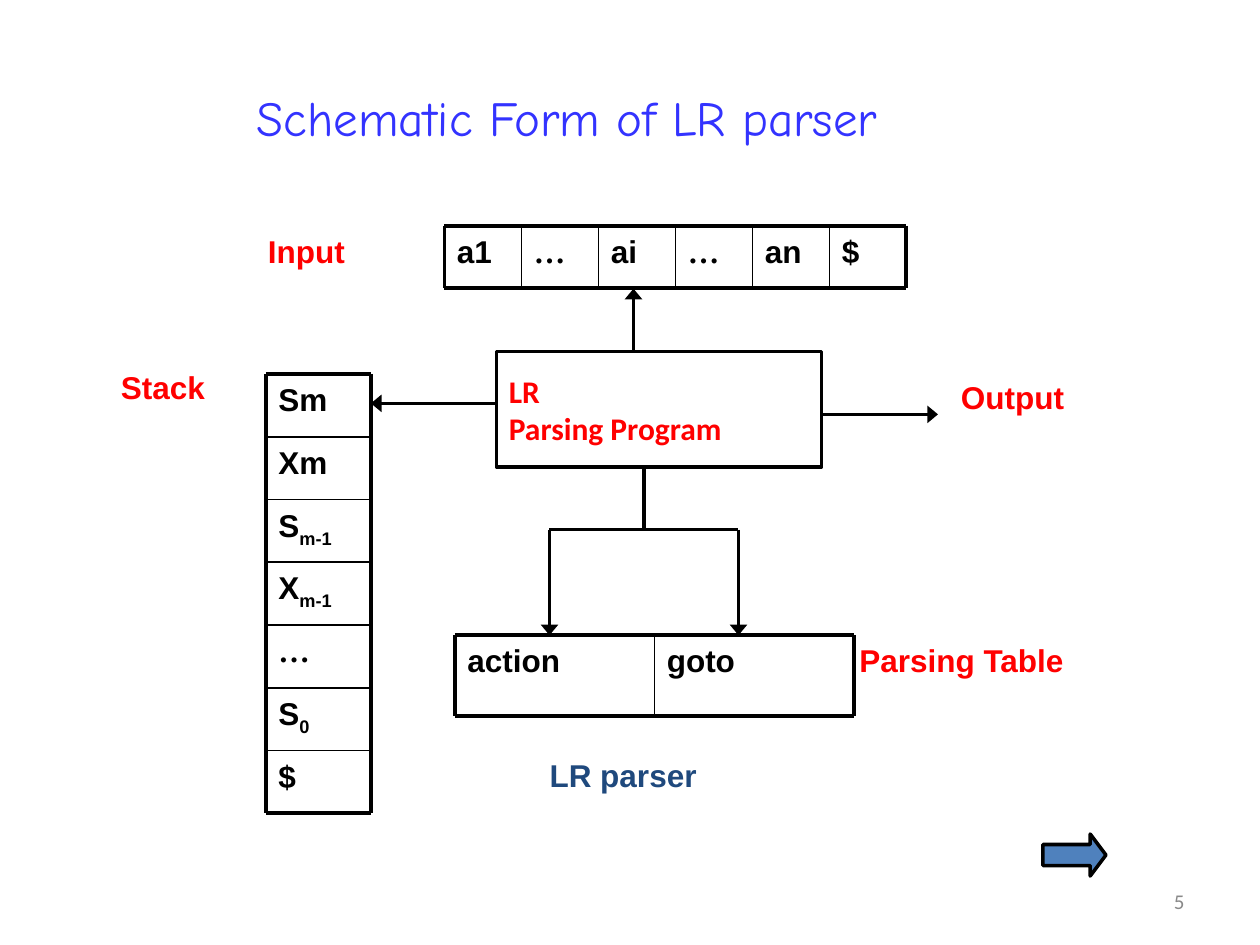
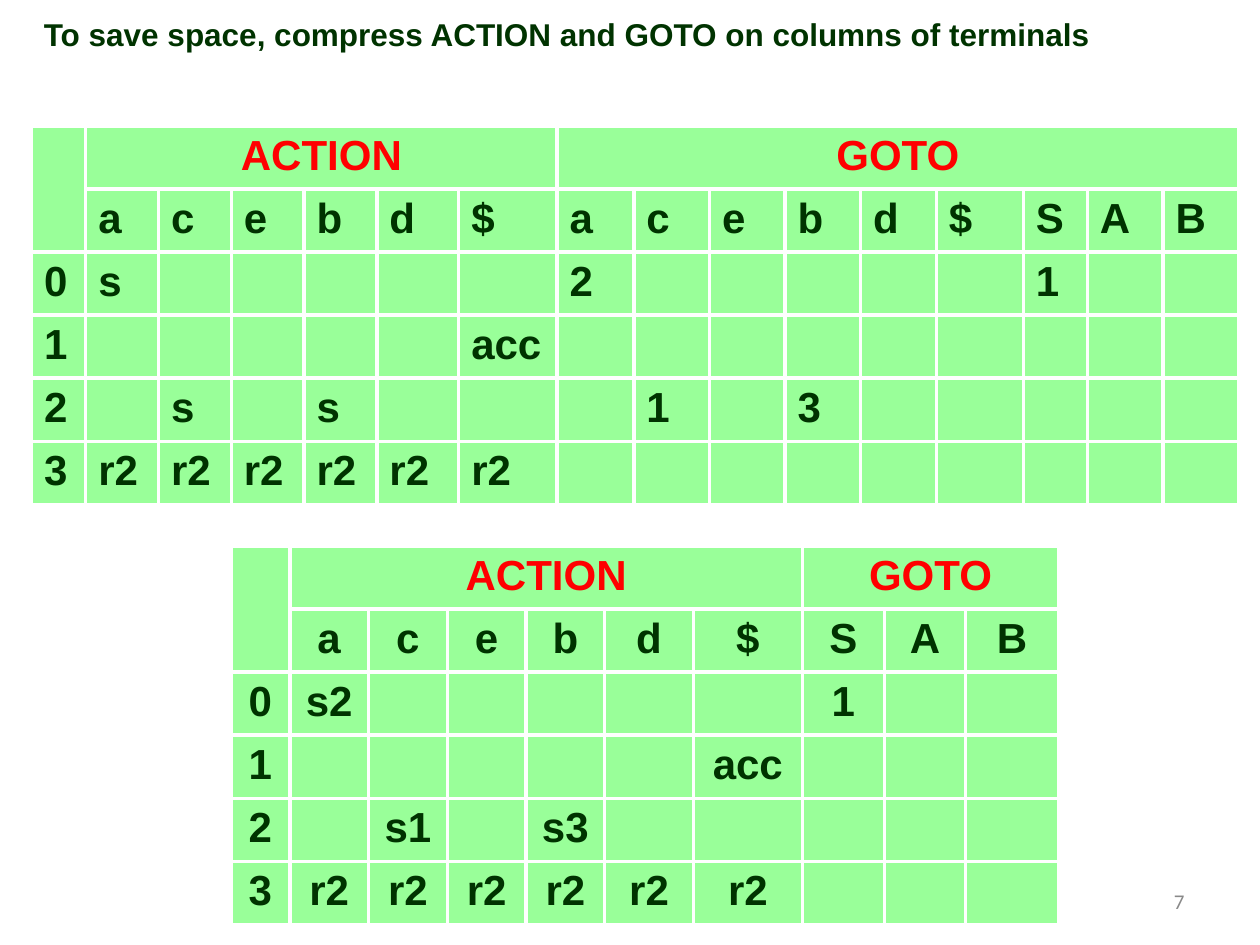
from dataclasses import dataclass

from lxml import etree
from pptx import Presentation
from pptx.dml.color import RGBColor
from pptx.enum.shapes import MSO_CONNECTOR, MSO_SHAPE
from pptx.enum.text import MSO_ANCHOR, PP_ALIGN
from pptx.oxml.ns import qn
from pptx.util import Pt

LEFT, CENTER, RIGHT = PP_ALIGN.LEFT, PP_ALIGN.CENTER, PP_ALIGN.RIGHT
TOP, MIDDLE = MSO_ANCHOR.TOP, MSO_ANCHOR.MIDDLE
STRAIGHT = MSO_CONNECTOR.STRAIGHT
RECTANGLE, RIGHT_ARROW = MSO_SHAPE.RECTANGLE, MSO_SHAPE.RIGHT_ARROW


@dataclass(frozen=True)
class Theme:
    black: str = "000000"
    red: str = "FF0000"
    title: str = "3333FF"
    caption: str = "1F497D"
    next_arrow: str = "4F81BD"
    number: str = "898989"
    table_text: str = "003300"
    table_fill: str = "99FF99"
    table_border: str = "FFFFFF"
    sans: str = "Arial"
    serif: str = "Times New Roman"
    body_font: str = "Calibri"
    title_font: str = "Comic Neue"
    title_size: float = 28
    table_size: float = 24
    text_size: float = 18
    number_size: float = 12
    thin: float = 1
    medium: float = 2
    thick: float = 2.25


THEME = Theme()
ROW_HEIGHT = 36

FULL_WIDTHS = [31] + [41.6] * 4 + [46.8, 56.2, 43.9] + [43.2] * 4 + [49.8, 36.6, 43.2, 43.2]
FULL_ROWS = [
    "- a c e b d $ a c e b d $ S A B",
    "0 s - - - - - 2 - - - - - 1 - -",
    "1 - - - - - acc - - - - - - - - -",
    "2 - s - s - - - 1 - 3 - - - - -",
    "3 r2 r2 r2 r2 r2 r2 - - - - - - - - -",
]
COMPACT_WIDTHS = [33.6, 45, 45, 45, 45, 50.6, 62.4, 46.8, 46.4, 53.2]
COMPACT_ROWS = [
    "- a c e b d $ S A B",
    "0 s2 - - - - - 1 - -",
    "1 - - - - - acc - - -",
    "2 - s1 - s3 - - - - -",
    "3 r2 r2 r2 r2 r2 r2 - - -",
]


def color(value):
    return RGBColor.from_string(value)


def format_font(font, ink, size=THEME.text_size, face=THEME.sans, bold=True):
    font.name, font.size, font.bold = face, Pt(size), bold
    font.color.rgb = color(ink)


def format_text(frame, ink, align=LEFT, anchor=TOP, **style):
    frame.word_wrap = True
    frame.vertical_anchor = anchor
    for paragraph in frame.paragraphs:
        paragraph.alignment = align
        for run in paragraph.runs:
            format_font(run.font, ink, **style)


def add_label(slide, text, left, top, width, height=36, ink=THEME.red, **style):
    label = slide.shapes.add_textbox(Pt(left), Pt(top), Pt(width), Pt(height))
    label.text_frame.text = text
    format_text(label.text_frame, ink, **style)
    return label


def add_line(slide, x1, y1, x2, y2, weight=THEME.medium, arrow=False):
    line = slide.shapes.add_connector(STRAIGHT, Pt(x1), Pt(y1), Pt(x2), Pt(y2))
    line.line.color.rgb = color(THEME.black)
    line.line.width = Pt(weight)
    properties = line._element.spPr
    if arrow:
        outline = properties.find(qn("a:ln"))
        etree.SubElement(outline, qn("a:tailEnd"), type="triangle", w="lg", len="med")
    etree.SubElement(properties, qn("a:effectLst"))


def add_outlined(slide, preset, left, top, width, height, fill=None):
    shape = slide.shapes.add_shape(preset, Pt(left), Pt(top), Pt(width), Pt(height))
    shape.shadow.inherit = False
    if fill:
        shape.fill.solid()
        shape.fill.fore_color.rgb = color(fill)
    else:
        shape.fill.background()
    shape.line.color.rgb = color(THEME.black)
    shape.line.width = Pt(THEME.medium)
    return shape


def add_symbol(slide, symbol, left, top, width, height):
    """One cell of a strip; the part after an underscore is a subscript."""
    base, _, index = symbol.partition("_")
    face = THEME.serif if base == "…" else THEME.sans
    cell = add_label(slide, base, left, top, width, height, THEME.black, face=face)
    if index:
        run = cell.text_frame.paragraphs[0].add_run()
        run.text = index
        format_font(run.font, THEME.black)
        run.font._element.set("baseline", "-25000")


def add_strip(slide, symbols, left, top, width, height, vertical=False):
    """Equal cells in a row or column, with a thick outer frame."""
    count = len(symbols)
    step = (height if vertical else width) / count
    for i, symbol in enumerate(symbols):
        if vertical:
            add_symbol(slide, symbol, left, top + i * step, width, step)
        else:
            add_symbol(slide, symbol, left + i * step, top, step, height)
    right, bottom = left + width, top + height
    for i in range(count + 1):
        weight = THEME.thin if 0 < i < count else THEME.thick
        if vertical:
            add_line(slide, left, top + i * step, right, top + i * step, weight)
        else:
            add_line(slide, left + i * step, top, left + i * step, bottom, weight)
    if vertical:
        add_line(slide, left, top, left, bottom, THEME.thick)
        add_line(slide, right, top, right, bottom, THEME.thick)
    else:
        add_line(slide, left, top, right, top, THEME.thick)
        add_line(slide, left, bottom, right, bottom, THEME.thick)


def add_slide_number(slide, number):
    add_label(slide, str(number), 516, 500.5, 168, 28.75, THEME.number, align=RIGHT,
              anchor=MIDDLE, size=THEME.number_size, face=THEME.body_font, bold=False)


def draw_parser(slide, left, top):
    # Parsing program
    program = add_outlined(slide, RECTANGLE, left + 221.7, top + 72, 185.8, 66)
    program.text_frame.text = "LR\nParsing Program"
    format_text(program.text_frame, THEME.red, anchor=MIDDLE, face=THEME.body_font)

    # Stack, input and parsing table
    stack = ["Sm", "Xm", "S_m-1", "X_m-1", "…", "S_0", "$"]
    add_strip(slide, stack, left + 90, top + 84.7, 60, 251, vertical=True)
    add_strip(slide, ["a1", "…", "ai", "…", "an", "$"], left + 192, top, 264, 35.8)
    add_strip(slide, ["action", "goto"], left + 198, top + 234, 228, 46)

    # Arrows from the program
    for x1, y1, x2, y2 in [(222, 101.5, 150, 101.5), (300, 72, 300, 36),
                           (408, 107.8, 474, 107.8)]:
        add_line(slide, left + x1, top + y1, left + x2, top + y2, arrow=True)

    # Fork to the two parts of the parsing table
    fork = top + 173.6
    branches = left + 252, left + 360
    add_line(slide, left + 306, top + 138, left + 306, fork)
    add_line(slide, branches[0], fork, branches[1], fork)
    for x in branches:
        add_line(slide, x, fork, x, top + 234, arrow=True)

    # Labels
    for text, x, y, width in [("Stack", 0, 78, 84), ("Input", 84, 0, 84),
                              ("Output", 480, 83.7, 96), ("Parsing Table", 422, 234, 172)]:
        add_label(slide, text, left + x, top + y, width)
    add_label(slide, "LR parser", left + 245, top + 299.7, 133, ink=THEME.caption)


def style_cell(cell, ink, align):
    properties = cell._tc.get_or_add_tcPr()
    for side in ("a:lnL", "a:lnR", "a:lnT", "a:lnB"):
        border = etree.SubElement(properties, qn(side), w=str(Pt(THEME.thick)))
        paint = etree.SubElement(border, qn("a:solidFill"))
        etree.SubElement(paint, qn("a:srgbClr"), val=THEME.table_border)
    cell.fill.solid()
    cell.fill.fore_color.rgb = color(THEME.table_fill)
    paragraph = cell.text_frame.paragraphs[0]
    paragraph.alignment = align
    format_font(paragraph.font, ink, THEME.table_size)
    for run in paragraph.runs:
        format_font(run.font, ink, THEME.table_size)


def draw_parsing_table(slide, left, top, widths, rows, align):
    row_count, column_count = len(rows) + 1, len(widths)
    frame = slide.shapes.add_table(row_count, column_count, Pt(left), Pt(top),
                                   Pt(sum(widths)), Pt(row_count * ROW_HEIGHT))
    table = frame.table
    table.first_row = table.horz_banding = False
    for column, width in zip(table.columns, widths):
        column.width = Pt(width)
    for row in table.rows:
        row.height = Pt(ROW_HEIGHT)

    # Six action columns, then the goto columns
    header = [""] * column_count
    header[1], header[7] = "ACTION", "GOTO"
    for r, entries in enumerate([header] + [row.split() for row in rows]):
        for c, entry in enumerate(entries):
            cell = table.cell(r, c)
            cell.text_frame.text = "" if entry == "-" else entry
            if r == 0:
                style_cell(cell, THEME.red, CENTER)
            else:
                style_cell(cell, THEME.table_text, align)
    table.cell(0, 0).merge(table.cell(1, 0))
    table.cell(0, 1).merge(table.cell(0, 6))
    table.cell(0, 7).merge(table.cell(0, column_count - 1))


def build_schematic(slide):
    add_label(slide, "Schematic Form of LR parser", 0, 21.6, 648, 90, THEME.title,
              align=CENTER, anchor=MIDDLE, size=THEME.title_size,
              face=THEME.title_font, bold=False)
    add_outlined(slide, RIGHT_ARROW, 596, 476.6, 36, 24, THEME.next_arrow).adjustments[1] = 0.375
    draw_parser(slide, 62, 129)
    add_slide_number(slide, 5)


def build_compression(slide):
    heading = add_label(slide, "To save space, compress ACTION and GOTO on columns of terminals",
                        18, 7.2, 684, 59, THEME.table_text)
    heading.text_frame.paragraphs[0].line_spacing = 0.9
    draw_parsing_table(slide, 18, 72, FULL_WIDTHS, FULL_ROWS, LEFT)
    draw_parsing_table(slide, 132, 312, COMPACT_WIDTHS, COMPACT_ROWS, CENTER)
    add_slide_number(slide, 7)


def main():
    deck = Presentation()
    deck.slide_width, deck.slide_height = Pt(720), Pt(540)
    blank = deck.slide_layouts[6]
    for build in (build_schematic, build_compression):
        build(deck.slides.add_slide(blank))
    deck.save("out.pptx")


if __name__ == "__main__":
    main()
